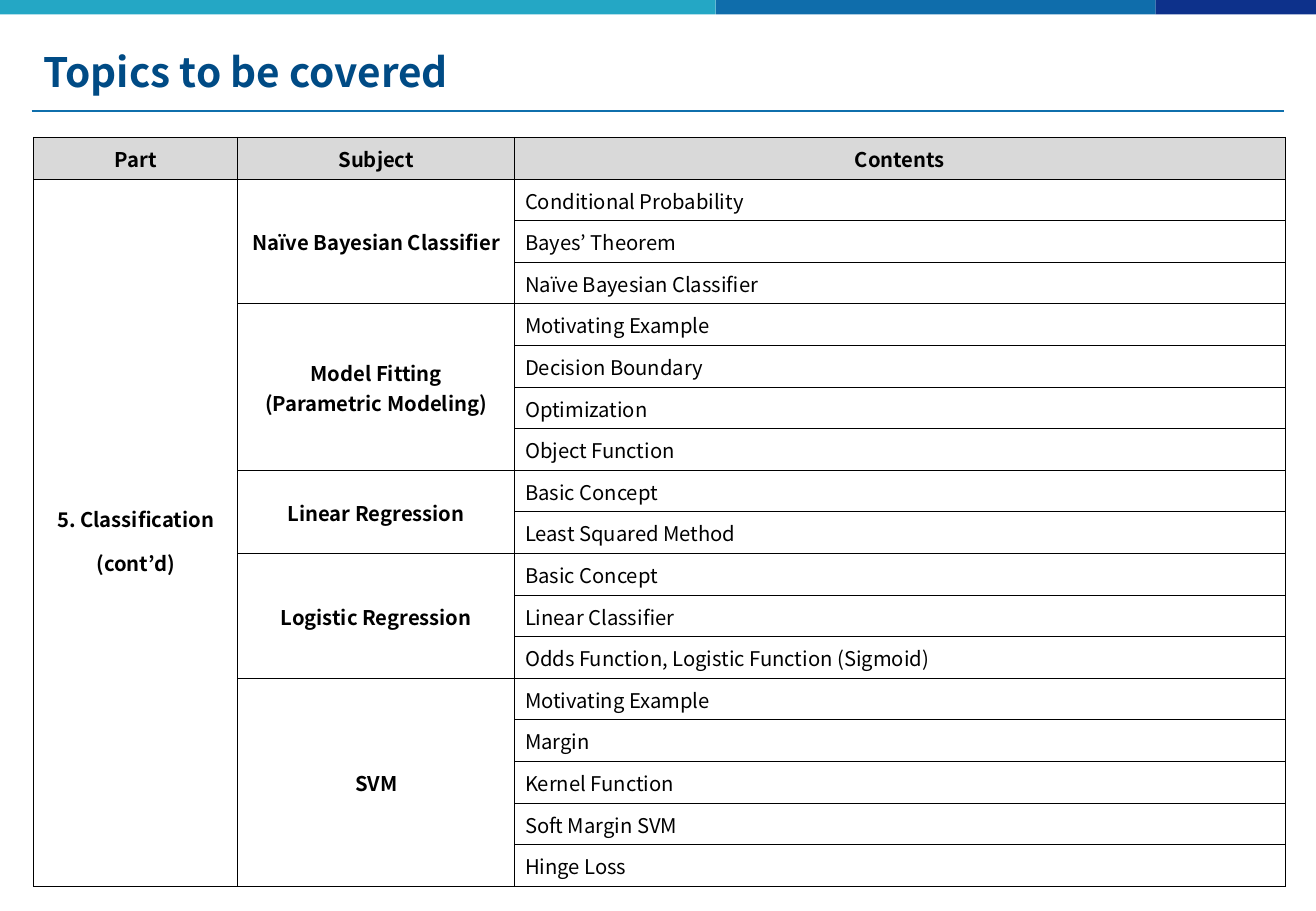
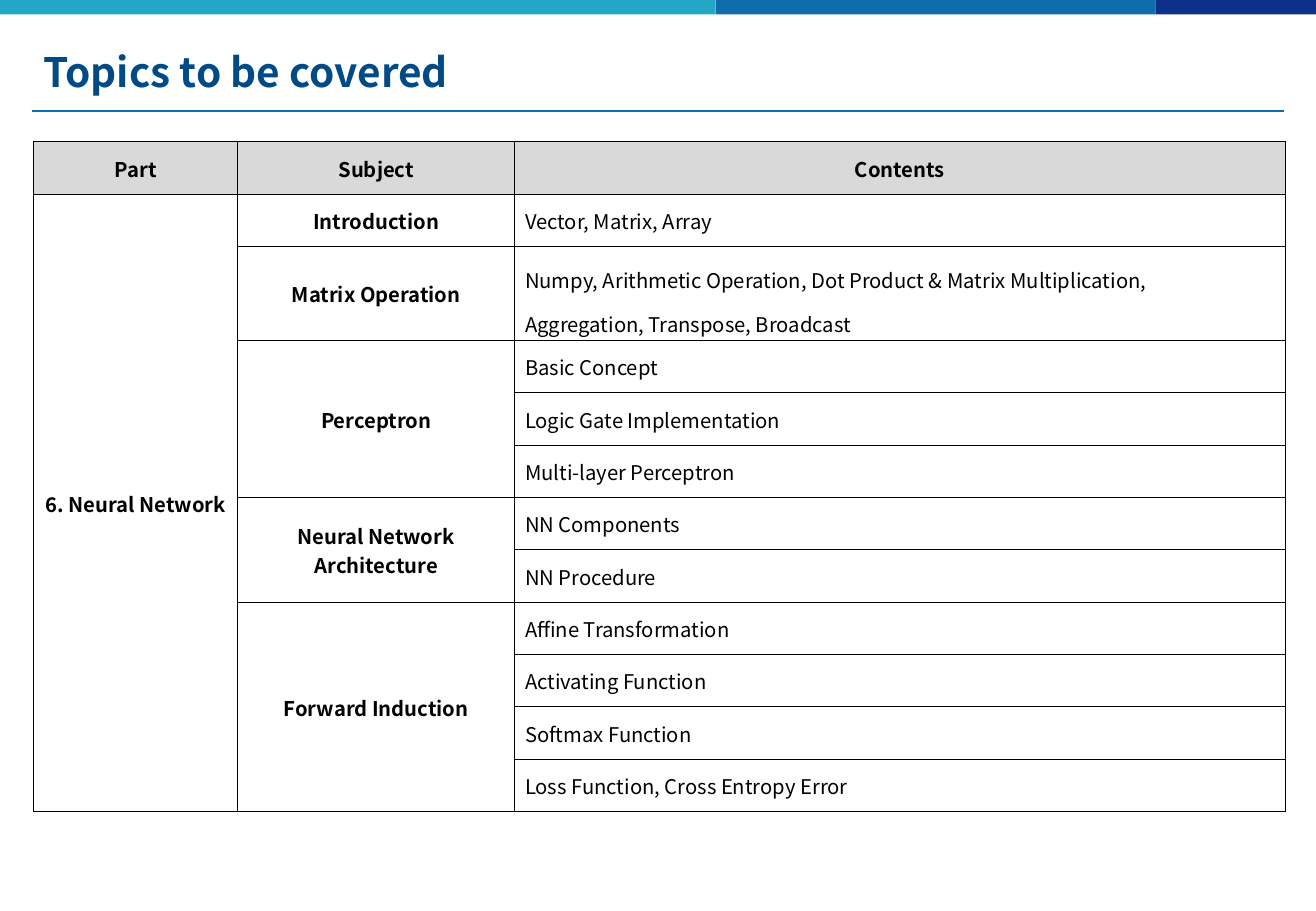
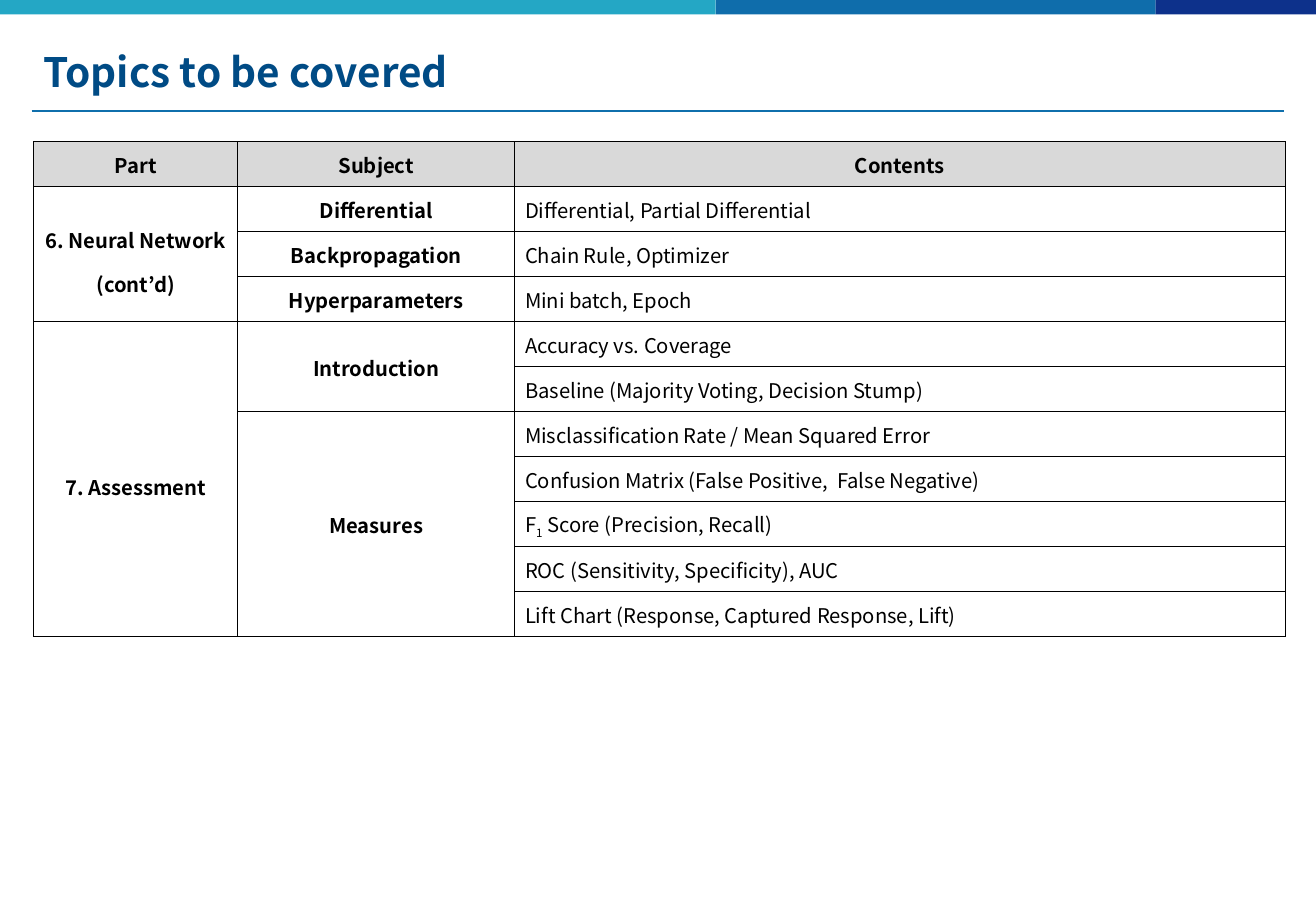
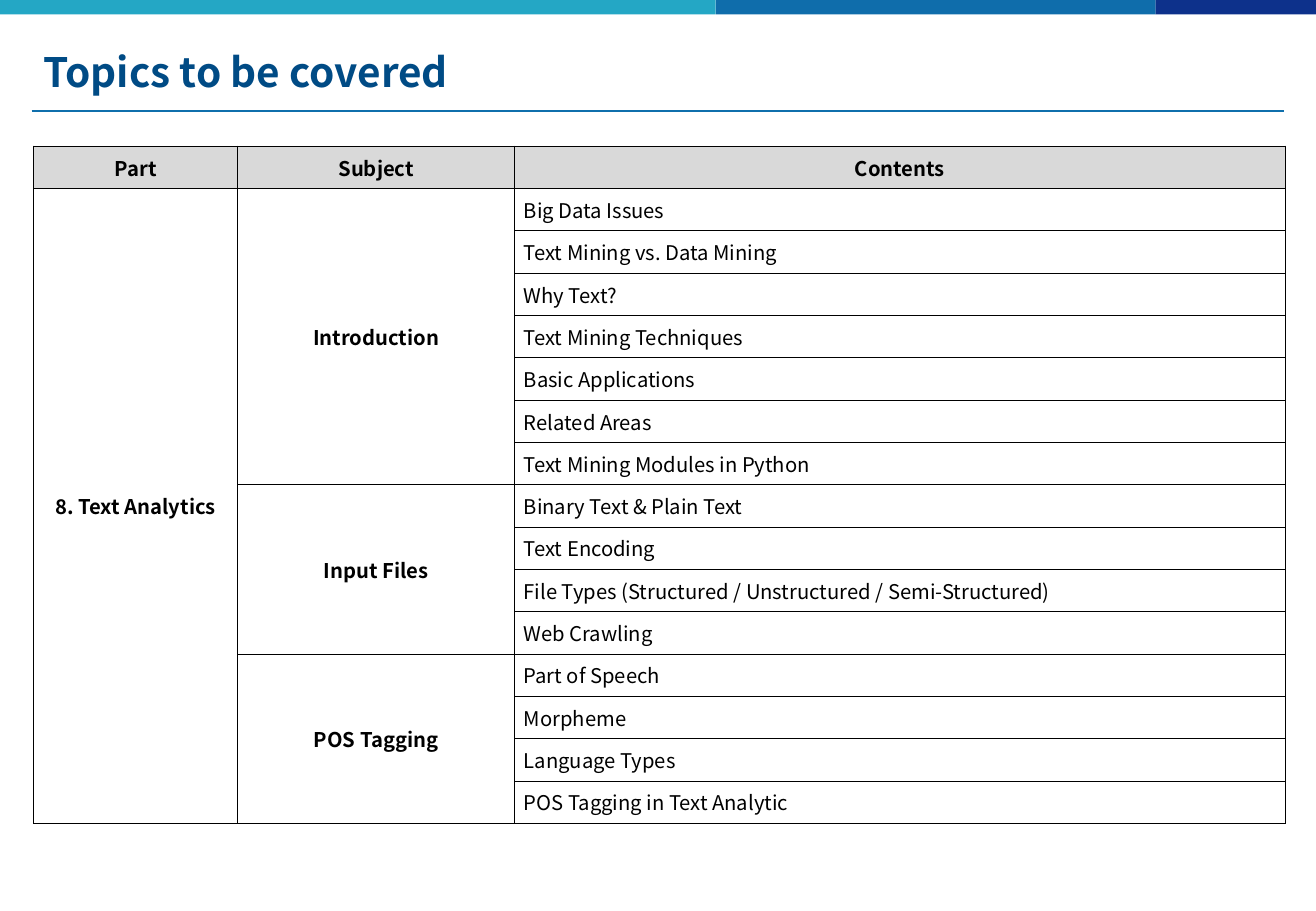
"""Build four slides that list the course topics in tables."""
import pptx
import pptx.dml.color
import pptx.enum.shapes
import pptx.enum.text
import pptx.oxml.ns
import pptx.util
from lxml import etree

Pt = pptx.util.Pt
ALIGN = pptx.enum.text.PP_ALIGN
MIDDLE = pptx.enum.text.MSO_ANCHOR.MIDDLE
FONT = "Noto Sans CJK KR"
COLORS = {
    "teal": "24A7C5", "blue": "0F6DAB", "navy": "0D318B", "rule": "0F6FAC",
    "title": "004B85", "text": "000000", "head": "D9D9D9", "body": "FFFFFF",
}
WIDE, HIGH = 780, 540
BANDS = [("teal", 0, 424.3), ("blue", 424.3, 685), ("navy", 685, WIDE)]
LEFT = 20
COLS = [120.9, 164.2, 456.5]
HEADS = ["Part", "Subject", "Contents"]
INDENT = 5.4
LOOSE = 1.5

TOPICS = [
    {"top": 81.4, "row": 24.68, "pad": 0.7, "space": LOOSE, "parts": [
        ("5. Classification\n(cont’d)", [
            ("Naïve Bayesian Classifier", [
                "Conditional Probability", "Bayes’ Theorem",
                "Naïve Bayesian Classifier"]),
            ("Model Fitting\n(Parametric Modeling)", [
                "Motivating Example", "Decision Boundary", "Optimization",
                "Object Function"]),
            ("Linear Regression", ["Basic Concept", "Least Squared Method"]),
            ("Logistic Regression", [
                "Basic Concept", "Linear Classifier",
                "Odds Function, Logistic Function (Sigmoid)"]),
            ("SVM", [
                "Motivating Example", "Margin", "Kernel Function",
                "Soft Margin SVM", "Hinge Loss"]),
        ]),
    ]},
    {"top": 84, "row": 31.06, "pad": 0.7, "space": 1, "parts": [
        ("6. Neural Network", [
            ("Introduction", ["Vector, Matrix, Array"]),
            ("Matrix Operation", [
                "Numpy, Arithmetic Operation, Dot Product & Matrix "
                "Multiplication,\nAggregation, Transpose, Broadcast"]),
            ("Perceptron", [
                "Basic Concept", "Logic Gate Implementation",
                "Multi-layer Perceptron"]),
            ("Neural Network\nArchitecture", [
                "NN Components", "NN Procedure"]),
            ("Forward Induction", [
                "Affine Transformation", "Activating Function",
                "Softmax Function", "Loss Function, Cross Entropy Error"]),
        ]),
    ]},
    {"top": 84, "row": 26.7, "pad": 0.7, "space": LOOSE, "parts": [
        ("6. Neural Network\n(cont’d)", [
            ("Differential", ["Differential, Partial Differential"]),
            ("Backpropagation", ["Chain Rule, Optimizer"]),
            ("Hyperparameters", ["Mini batch, Epoch"]),
        ]),
        ("7. Assessment", [
            ("Introduction", [
                "Accuracy vs. Coverage",
                "Baseline (Majority Voting, Decision Stump)"]),
            ("Measures", [
                "Misclassification Rate / Mean Squared Error",
                "Confusion Matrix (False Positive,  False Negative)",
                "F_1_ Score (Precision, Recall)",
                "ROC (Sensitivity, Specificity), AUC",
                "Lift Chart (Response, Captured Response, Lift)"]),
        ]),
    ]},
    {"top": 86.6, "row": 25.1, "pad": 0, "space": 1, "parts": [
        ("8. Text Analytics", [
            ("Introduction", [
                "Big Data Issues", "Text Mining vs. Data Mining", "Why Text?",
                "Text Mining Techniques", "Basic Applications",
                "Related Areas", "Text Mining Modules in Python"]),
            ("Input Files", [
                "Binary Text & Plain Text", "Text Encoding",
                "File Types (Structured / Unstructured / Semi-Structured)",
                "Web Crawling"]),
            ("POS Tagging", [
                "Part of Speech", "Morpheme", "Language Types",
                "POS Tagging in Text Analytic"]),
        ]),
    ]},
]
TALL = 55.6


def color(name):
    return pptx.dml.color.RGBColor.from_string(COLORS[name])


def write(frame, text, size=12, tint="text", bold=True, align=ALIGN.LEFT,
          space=1):
    for i, line in enumerate(text.split("\n")):
        para = frame.add_paragraph() if i else frame.paragraphs[0]
        para.alignment = align
        para.line_spacing = float(space)
        for j, piece in enumerate(line.split("_")):
            run = para.add_run()
            run.text = piece
            run.font.name = FONT
            run.font.size = Pt(size)
            run.font.bold = bold
            run.font.color.rgb = color(tint)
            if j % 2:
                run.font._element.set("baseline", "-25000")


def add_band(slide, name, start, end):
    band = slide.shapes.add_shape(
        pptx.enum.shapes.MSO_SHAPE.RECTANGLE, Pt(start), 0,
        Pt(end - start), Pt(8.5))
    band.shadow.inherit = False
    band.fill.solid()
    band.fill.fore_color.rgb = color(name)
    band.line.fill.background()


def add_rule(slide):
    rule = slide.shapes.add_connector(
        pptx.enum.shapes.MSO_CONNECTOR.STRAIGHT, Pt(18.7), Pt(66),
        Pt(761.3), Pt(66))
    rule.line.color.rgb = color("rule")
    rule.line.width = Pt(1)
    etree.SubElement(rule._element.spPr, pptx.oxml.ns.qn("a:effectLst"))


def add_title(slide, text):
    box = slide.shapes.add_textbox(Pt(18.7), Pt(19.5), Pt(743), Pt(46))
    frame = box.text_frame
    frame.word_wrap = True
    frame.vertical_anchor = MIDDLE
    write(frame, text, 24, "title")


def style(cell, fill, pad, left):
    qn = pptx.oxml.ns.qn
    props = cell._tc.get_or_add_tcPr()
    for side in ("a:lnL", "a:lnR", "a:lnT", "a:lnB"):
        line = etree.SubElement(props, qn(side), w=str(Pt(0.5)))
        solid = etree.SubElement(line, qn("a:solidFill"))
        etree.SubElement(solid, qn("a:srgbClr"), val=COLORS["text"])
    cell.fill.solid()
    cell.fill.fore_color.rgb = color(fill)
    cell.margin_left = Pt(left)
    cell.margin_right = cell.margin_top = Pt(pad)
    cell.margin_bottom = 0
    cell.vertical_anchor = MIDDLE


def put(table, row, col, span, text, space=1):
    cell = table.cell(row, col)
    if span > 1:
        cell.merge(table.cell(row + span - 1, col))
    write(cell.text_frame, text, align=ALIGN.CENTER, space=space)


def add_topics(slide, topic):
    items = [item for _, subs in topic["parts"]
             for _, items in subs for item in items]
    sizes = [topic["row"]] + [
        TALL if "\n" in item else topic["row"] for item in items]
    shape = slide.shapes.add_table(
        len(sizes), len(COLS), Pt(LEFT), Pt(topic["top"]), Pt(sum(COLS)),
        Pt(sum(sizes)))
    table = shape.table
    table.first_row = table.horz_banding = False
    for col, size in zip(table.columns, COLS):
        col.width = Pt(size)
    pad = topic["pad"]
    for i, size in enumerate(sizes):
        table.rows[i].height = Pt(size)
        for j in range(len(COLS)):
            left = pad + INDENT if i and j == 2 else pad
            style(table.cell(i, j), "body" if i else "head", pad, left)
    for j, head in enumerate(HEADS):
        put(table, 0, j, 1, head)
    row = 1
    for part, subs in topic["parts"]:
        span = sum(len(items) for _, items in subs)
        put(table, row, 0, span, part, topic["space"])
        for sub, items in subs:
            put(table, row, 1, len(items), sub)
            for item in items:
                write(table.cell(row, 2).text_frame, item, bold=False,
                      space=LOOSE if "\n" in item else 1)
                row += 1


def add_slide(deck, title):
    slide = deck.slides.add_slide(deck.slide_layouts[6])
    add_rule(slide)
    for band in BANDS:
        add_band(slide, *band)
    add_title(slide, title)
    return slide


def main():
    deck = pptx.Presentation()
    deck.slide_width, deck.slide_height = Pt(WIDE), Pt(HIGH)
    for topic in TOPICS:
        add_topics(add_slide(deck, "Topics to be covered"), topic)
    deck.save("out.pptx")


main()
